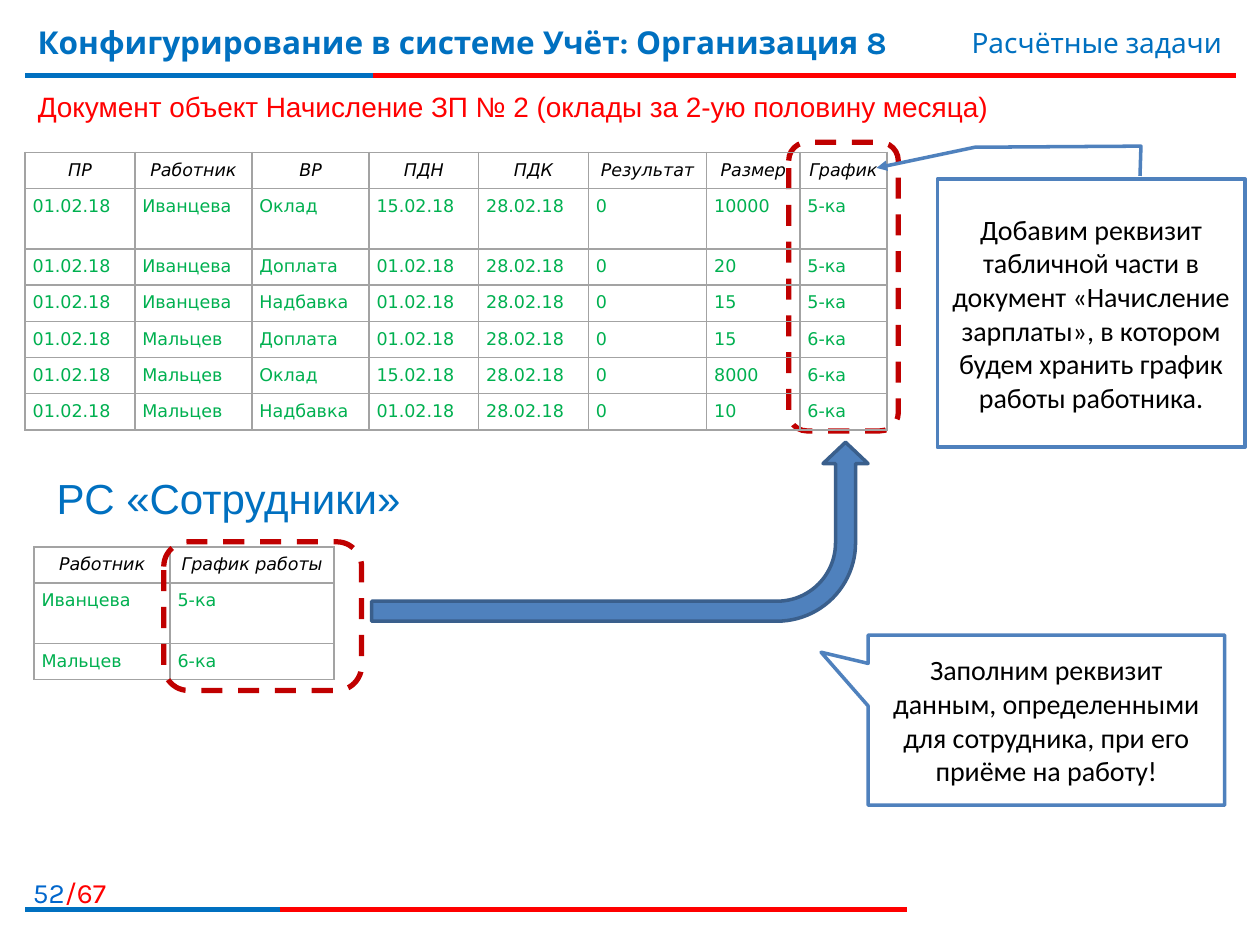
from lxml import etree
from pptx import Presentation
from pptx.dml.color import RGBColor
from pptx.enum import dml, shapes, text
from pptx.oxml import parse_xml
from pptx.oxml.ns import nsdecls, qn
from pptx.util import Inches, Pt

BLUE = RGBColor(0x00, 0x70, 0xC0)
NUMBER_BLUE = RGBColor(0x00, 0x66, 0xCC)
RED = RGBColor(0xFF, 0x00, 0x00)
DARK_RED = RGBColor(0xC0, 0x00, 0x00)
GREEN = RGBColor(0x00, 0xB0, 0x50)
BLACK = RGBColor(0x00, 0x00, 0x00)
WHITE = RGBColor(0xFF, 0xFF, 0xFF)
ACCENT = RGBColor(0x4F, 0x81, 0xBD)
ACCENT_DARK = RGBColor(0x3A, 0x5F, 0x8C)
BORDER = "A3A3A3"

LEFT, CENTER, RIGHT = text.PP_ALIGN.LEFT, text.PP_ALIGN.CENTER, text.PP_ALIGN.RIGHT


def write(frame, spans, size, font, align=LEFT, bold=False, italic=False):
    """Fill the first paragraph of a frame with (words, colour) spans."""
    frame.word_wrap = True
    para = frame.paragraphs[0]
    para.alignment = align
    for words, colour in spans:
        span = para.add_run()
        span.text = words
        span.font.size = Pt(size)
        span.font.name = font
        span.font.bold = bold
        span.font.italic = italic
        span.font.color.rgb = colour


def add_grid(page, left, top, widths, heights, rows):
    """Add a bordered table whose first row is an italic header."""
    table = page.shapes.add_table(
        len(rows), len(widths), Inches(left), Inches(top),
        Inches(sum(widths)), Inches(sum(heights))).table
    table.first_row = table.horz_banding = False
    for column, width in zip(table.columns, widths):
        column.width = Inches(width)
    for r, (values, height) in enumerate(zip(rows, heights)):
        table.rows[r].height = Inches(height)
        for c, value in enumerate(values):
            cell = table.cell(r, c)
            cell.margin_left = cell.margin_right = Inches(0.06)
            cell.margin_top = cell.margin_bottom = Inches(0.06)
            cell.fill.background()
            for position, side in enumerate(("lnL", "lnR", "lnT", "lnB")):
                cell._tc.get_or_add_tcPr().insert(position, parse_xml(
                    f'<a:{side} {nsdecls("a")} w="12700"><a:solidFill>'
                    f'<a:srgbClr val="{BORDER}"/></a:solidFill></a:{side}>'))
            header = r == 0
            write(cell.text_frame, [(value, BLACK if header else GREEN)], 10,
                  "DejaVu Sans", CENTER if header else LEFT, italic=header)


deck = Presentation()
deck.slide_width, deck.slide_height = Inches(10), Inches(7.5)
page = deck.slides.add_slide(deck.slide_layouts[5])

# Two-colour rules at the top and bottom
for y, red_end, blue_end in ((0.6, 9.81, 2.96), (7.22, 7.2, 2.22)):
    for end, colour in ((red_end, RED), (blue_end, BLUE)):
        rule = page.shapes.add_connector(
            shapes.MSO_CONNECTOR.STRAIGHT, Inches(0.2), Inches(y), Inches(end), Inches(y))
        rule.line.color.rgb = colour
        rule.line.width = Pt(3)
        etree.SubElement(rule._element.spPr, qn("a:effectLst"))

# Title and headings
title = page.shapes.title
title.left, title.top = Inches(0.2), Inches(0.66)
title.width, title.height = Inches(8.9), Inches(0.37)
title.text_frame.vertical_anchor = text.MSO_ANCHOR.TOP
title.text_frame.auto_size = text.MSO_AUTO_SIZE.NONE
write(title.text_frame,
      [("Документ объект Начисление ЗП № 2 (оклады за 2-ую половину месяца)", RED)],
      16, "Arial")

headings = [
    ((0, 6.9, 0.94, 0.32), [("52", NUMBER_BLUE), ("/67", RED)], 16, "Karla", RIGHT, False),
    ((0.2, 0.13, 7.4, 0.62), [("Конфигурирование в системе Учёт: Организация 8", BLUE)],
     18, "Karla", LEFT, True),
    ((5.94, 0.15, 3.86, 0.37), [("Расчётные задачи", BLUE)], 16, "Karla", RIGHT, False),
    ((0.2, 3.7, 3.23, 0.5), [("РС «Сотрудники»", BLUE)], 24, "Arial", CENTER, False),
]
for place, spans, size, font, align, bold in headings:
    box = page.shapes.add_textbox(*map(Inches, place))
    write(box.text_frame, spans, size, font, align, bold)

# Employee register
add_grid(page, 0.27, 4.34, [1.08, 1.3], [0.28, 0.48, 0.28], [
    ("Работник", "График работы"),
    ("Иванцева", "5-ка"),
    ("Мальцев", "6-ка"),
])

# Dashed frames around the schedule columns
for place in ((6.26, 1.13, 0.87, 2.29), (1.3, 4.3, 1.57, 1.18)):
    frame = page.shapes.add_shape(shapes.MSO_SHAPE.ROUNDED_RECTANGLE, *map(Inches, place))
    frame.shadow.inherit = False
    frame.fill.background()
    frame.line.color.rgb = DARK_RED
    frame.line.width = Pt(3)
    frame.line.dash_style = dml.MSO_LINE.DASH

# Arrow from the register to the document
arrow = page.shapes.add_shape(
    shapes.MSO_SHAPE.BENT_ARROW, Inches(4.21), Inches(2.25), Inches(1.42), Inches(3.94))
arrow.rotation = 90
arrow._element.spPr.find(qn("a:xfrm")).set("flipH", "1")
for i, value in enumerate((0.112, 0.126, 0.119, 0.438)):
    arrow.adjustments[i] = value
arrow.shadow.inherit = False
arrow.fill.solid()
arrow.fill.fore_color.rgb = ACCENT
arrow.line.color.rgb = ACCENT_DARK
arrow.line.width = Pt(2)

# Payroll document; the period end and the result are the same in every row
entries = [
    ("Иванцева", "Оклад", "15.02.18", "10000", "5-ка"),
    ("Иванцева", "Доплата", "01.02.18", "20", "5-ка"),
    ("Иванцева", "Надбавка", "01.02.18", "15", "5-ка"),
    ("Мальцев", "Доплата", "01.02.18", "15", "6-ка"),
    ("Мальцев", "Оклад", "15.02.18", "8000", "6-ка"),
    ("Мальцев", "Надбавка", "01.02.18", "10", "6-ка"),
]
payroll = [("ПР", "Работник", "ВР", "ПДН", "ПДК", "Результат", "Размер", "График")]
for worker, kind, start, amount, schedule in entries:
    payroll.append(("01.02.18", worker, kind, start, "28.02.18", "0", amount, schedule))
add_grid(page, 0.2, 1.21, [0.87, 0.93, 0.93, 0.87, 0.87, 0.94, 0.74, 0.69],
         [0.28, 0.48] + [0.28] * 5, payroll)

# Callouts
callouts = [
    (shapes.MSO_SHAPE.RECTANGULAR_CALLOUT, (6.89, 5.04, 2.83, 1.35), (-0.632, -0.399),
     "Заполним реквизит данным, определенными для сотрудника, при его приёме на работу!"),
    (shapes.MSO_SHAPE.LINE_CALLOUT_3, (7.44, 1.42, 2.44, 2.13),
     (-0.011, 0.659, -0.122, 0.662, -0.118, 0.122, -0.041, -0.198),
     "Добавим реквизит табличной части в документ «Начисление зарплаты», "
     "в котором будем хранить график работы работника."),
]
for kind, place, adjustments, words in callouts:
    callout = page.shapes.add_shape(kind, *map(Inches, place))
    for i, value in enumerate(adjustments):
        callout.adjustments[i] = value
    callout.shadow.inherit = False
    callout.fill.solid()
    callout.fill.fore_color.rgb = WHITE
    callout.line.color.rgb = ACCENT
    callout.line.width = Pt(2)
    if kind == shapes.MSO_SHAPE.LINE_CALLOUT_3:
        etree.SubElement(callout.line._get_or_add_ln(), qn("a:tailEnd"), type="triangle")
    callout.text_frame.vertical_anchor = text.MSO_ANCHOR.MIDDLE
    write(callout.text_frame, [(words, BLACK)], 16, "Calibri", CENTER)

deck.save("out.pptx")
